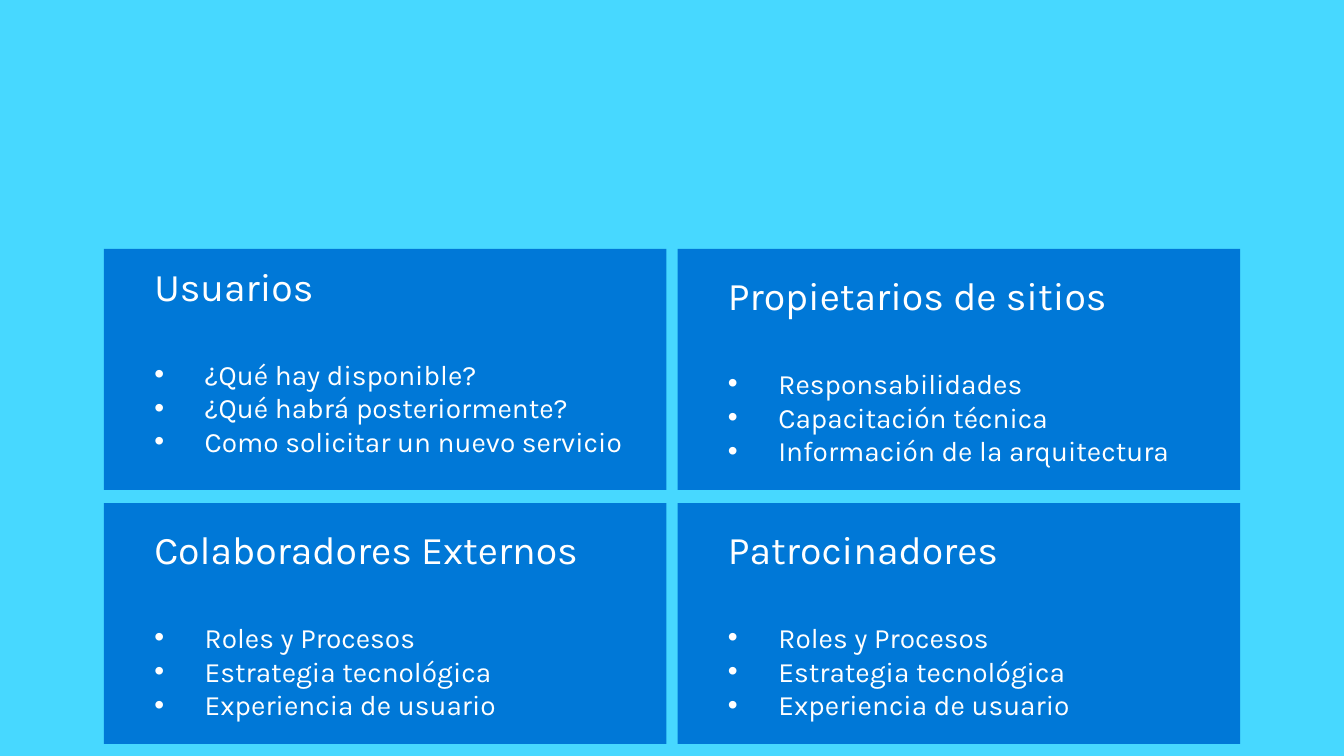
from dataclasses import dataclass

from lxml import etree
from pptx import Presentation
from pptx.dml.color import RGBColor
from pptx.enum.shapes import MSO_SHAPE
from pptx.enum.text import MSO_ANCHOR, PP_ALIGN
from pptx.oxml.ns import qn
from pptx.util import Inches, Pt

RECTANGLE = MSO_SHAPE.RECTANGLE
MIDDLE = MSO_ANCHOR.MIDDLE
LEFT = PP_ALIGN.LEFT
BLANK_LAYOUT = 6


@dataclass(frozen=True)
class Theme:
    """Colours, font and type sizes of the slide."""
    background: RGBColor = RGBColor(0x47, 0xD8, 0xFF)
    card: RGBColor = RGBColor(0x00, 0x78, 0xD7)
    text: RGBColor = RGBColor(0xFF, 0xFF, 0xFF)
    font: str = "Karla"
    heading: int = 28
    item: int = 20
    heading_gap: int = 34


THEME = Theme()
GRID_LEFT, GRID_TOP = 1.03, 2.47
CARD_WIDTH, CARD_HEIGHT = 5.58, 2.39
COLUMN_GAP, ROW_GAP = 0.11, 0.13
INSET, RAISED_INSET = 0.05, 0.23

CARDS = [
    [
        ("Usuarios", ["¿Qué hay disponible?", "¿Qué habrá posteriormente?",
                      "Como solicitar un nuevo servicio"], RAISED_INSET),
        ("Propietarios de sitios", ["Responsabilidades", "Capacitación técnica",
                                    "Información de la arquitectura"], INSET),
    ],
    [
        (heading, ["Roles y Procesos", "Estrategia tecnológica",
                   "Experiencia de usuario"], INSET)
        for heading in ("Colaboradores Externos", "Patrocinadores")
    ],
]


def write(para, text, size, margin, indent=0, bullet=None, space_after=0):
    """Write one formatted paragraph, with a bullet if one is given."""
    para.level = 1
    para.alignment = LEFT
    para.space_before, para.space_after = Pt(0), Pt(space_after)
    properties = para._p.get_or_add_pPr()
    properties.set("marL", str(Inches(margin)))
    properties.set("indent", str(Inches(indent)))
    if bullet:
        etree.SubElement(properties, qn("a:buFont"), typeface="Arial")
        etree.SubElement(properties, qn("a:buChar"), char=bullet)
    span = para.add_run()
    span.text = text
    span.font.size = Pt(size)
    span.font.name = THEME.font
    span.font.color.rgb = THEME.text


def add_card(slide, left, top, heading, items, bottom_inset):
    """Draw a filled card with a heading and a bulleted list."""
    card = slide.shapes.add_shape(RECTANGLE, Inches(left), Inches(top),
                                  Inches(CARD_WIDTH), Inches(CARD_HEIGHT))
    card.shadow.inherit = False
    card.fill.solid()
    card.fill.fore_color.rgb = THEME.card
    card.line.fill.background()
    frame = card.text_frame
    frame.word_wrap = True
    frame.vertical_anchor = MIDDLE
    frame.margin_left = frame.margin_right = 0
    frame.margin_top, frame.margin_bottom = Inches(INSET), Inches(bottom_inset)
    write(frame.paragraphs[0], heading, THEME.heading, margin=0.5,
          space_after=THEME.heading_gap)
    for item in items:
        write(frame.add_paragraph(), item, THEME.item, margin=1, indent=-0.5, bullet="•")


def add_card_grid(slide, left, top):
    """Place the audience cards in equal rows and columns."""
    for row, cards in enumerate(CARDS):
        for column, (heading, items, bottom_inset) in enumerate(cards):
            add_card(slide, left + column * (CARD_WIDTH + COLUMN_GAP),
                     top + row * (CARD_HEIGHT + ROW_GAP), heading, items, bottom_inset)


def main():
    """Build and save the deck."""
    deck = Presentation()
    deck.slide_width, deck.slide_height = Inches(13.33), Inches(7.5)
    slide = deck.slides.add_slide(deck.slide_layouts[BLANK_LAYOUT])
    slide.background.fill.solid()
    slide.background.fill.fore_color.rgb = THEME.background
    add_card_grid(slide, GRID_LEFT, GRID_TOP)
    deck.save("out.pptx")


if __name__ == "__main__":
    main()
